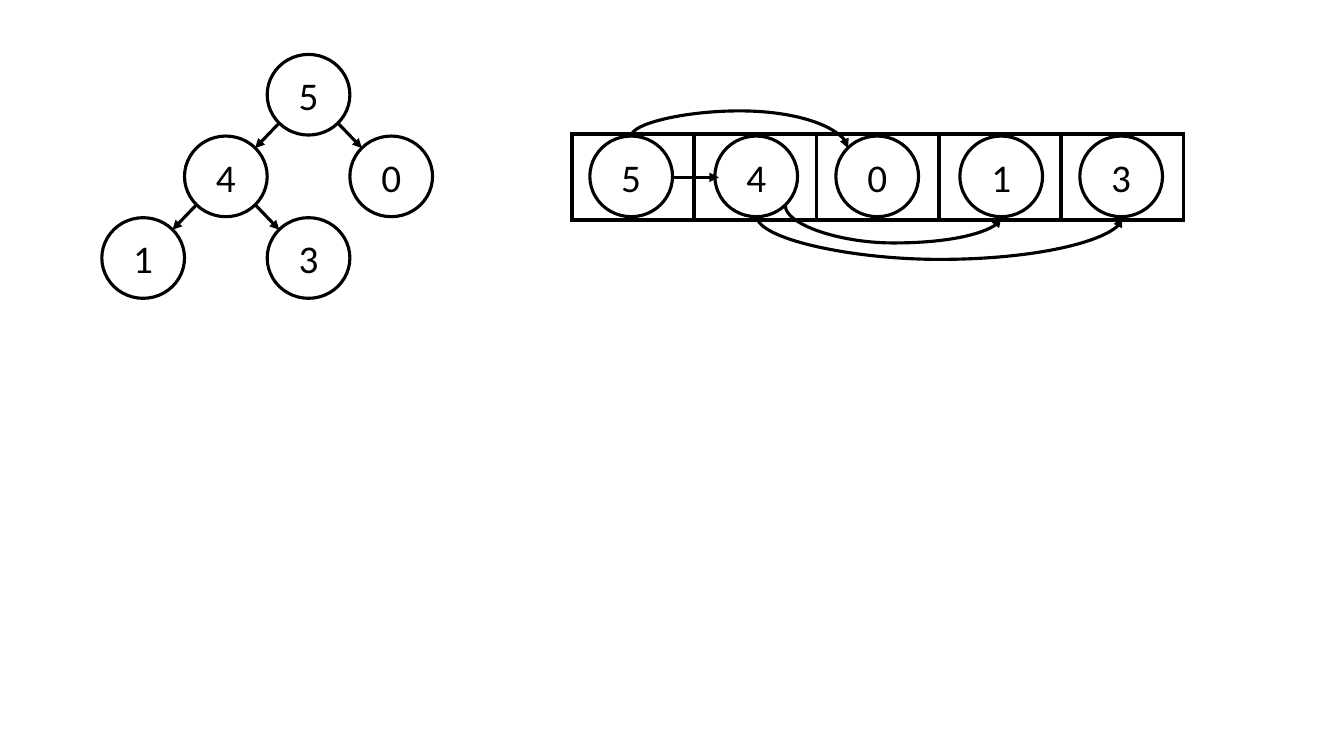
import pptx
import pptx.util
import pptx.dml.color
import pptx.enum.shapes
import pptx.enum.text
import pptx.oxml
import pptx.oxml.ns
import lxml.etree

PX = 9144
COLORS = {"ink": "000000", "paper": "FFFFFF"}
NODE_W, NODE_H = 82, 80
DIAG_X, DIAG_Y = 29, 28
CONNECTOR = pptx.enum.shapes.MSO_CONNECTOR
qn = pptx.oxml.ns.qn


def px(n):
    return pptx.util.Emu(n * PX)


def rgb(name):
    return pptx.dml.color.RGBColor.from_string(COLORS[name])


def sub(parent, tag, **attrs):
    return lxml.etree.SubElement(parent, qn(tag), attrs)


def style_line(line):
    line.color.rgb = rgb("ink")
    line.width = pptx.util.Pt(2.25)


def add_node(s, value, x, y):
    sp = s.shapes.add_shape(pptx.enum.shapes.MSO_SHAPE.OVAL,
                            px(x), px(y), px(NODE_W), px(NODE_H))
    sp.shadow.inherit = False
    sp.fill.background()
    style_line(sp.line)
    tf = sp.text_frame
    tf.vertical_anchor = pptx.enum.text.MSO_ANCHOR.MIDDLE
    p = tf.paragraphs[0]
    p.alignment = pptx.enum.text.PP_ALIGN.CENTER
    r = p.add_run()
    r.text = value
    r.font.size = pptx.util.Pt(28)
    r.font.name = "Calibri"
    r.font.color.rgb = rgb("ink")


def add_arrow(s, x1, y1, x2, y2, kind=CONNECTOR.STRAIGHT):
    c = s.shapes.add_connector(kind, px(x1), px(y1), px(x2), px(y2))
    style_line(c.line)
    sub(c.line._get_or_add_ln(), "a:tailEnd", type="triangle")
    sub(c._element.spPr, "a:effectLst")
    return c


def add_arc(s, x1, y1, x2, y2, bend):
    c = add_arrow(s, x1, y1, x2, y2, CONNECTOR.CURVE)
    dx, dy = x2 - x1, y2 - y1
    c.left, c.top = px(x1 + (dx - dy) / 2), px(y1 + (dy - dx) / 2)
    c.width, c.height = px(dy), px(dx)
    spPr = c._element.spPr
    xfrm = spPr.find(qn("a:xfrm"))
    xfrm.set("rot", "16200000")
    xfrm.set("flipH", "1")
    guides = spPr.find(qn("a:prstGeom")).find(qn("a:avLst"))
    sub(guides, "a:gd", name="adj1", fmla=f"val {round(bend / dy * 100000)}")


def draw_tree(s, x, y, step_x, step_y):
    spots = {"5": (2, 0), "0": (3, 1), "4": (1, 1), "1": (0, 2), "3": (2, 2)}
    places = {v: (x + col * step_x, y + row * step_y)
              for v, (col, row) in spots.items()}
    for value, (left, top) in places.items():
        add_node(s, value, left, top)
    for parent, child in ("54", "50", "41", "43"):
        (x1, y1), (x2, y2) = places[parent], places[child]
        side = DIAG_X if x2 > x1 else -DIAG_X
        mid_x, mid_y = NODE_W // 2, NODE_H // 2
        add_arrow(s, x1 + mid_x + side, y1 + mid_y + DIAG_Y,
                  x2 + mid_x - side, y2 + mid_y - DIAG_Y)


def draw_cells(s, x, y, w, h, count):
    table = s.shapes.add_table(1, count, px(x), px(y), px(w), px(h)).table
    table.first_row = table.horz_banding = False
    for column in table.columns:
        column.width = pptx.util.Emu(w * PX // count)
    for cell in table.iter_cells():
        tcPr = cell._tc.get_or_add_tcPr()
        for side in ("a:lnL", "a:lnR", "a:lnT", "a:lnB"):
            ln = sub(tcPr, side, w=str(pptx.util.Pt(3)))
            sub(sub(ln, "a:solidFill"), "a:srgbClr", val=COLORS["ink"])
        cell.fill.solid()
        cell.fill.fore_color.rgb = rgb("paper")


def draw_array(s, x, y, w, h):
    offsets = {"5": 18, "4": 142, "0": 262, "1": 385, "3": 504}
    draw_cells(s, x, y, w, h, len(offsets))
    top = y + 2
    bottom, middle = top + NODE_H, top + NODE_H // 2
    center = {v: x + dx + NODE_W // 2 for v, dx in offsets.items()}
    for value, dx in offsets.items():
        add_node(s, value, x + dx, top)
    add_arrow(s, center["5"] + NODE_W // 2, middle + 1,
              center["4"] - NODE_W // 2 + 4, middle + 1)
    add_arc(s, center["5"], top, center["0"] - DIAG_X, middle - DIAG_Y, -25)
    add_arc(s, center["4"] + DIAG_X, middle + DIAG_Y + 1, center["1"], bottom + 1, 37)
    add_arc(s, center["4"] + 1, bottom, center["3"] + 1, bottom + 1, 43)


def main():
    prs = pptx.Presentation()
    prs.slide_width, prs.slide_height = px(1333), px(750)
    s = prs.slides.add_slide(prs.slide_layouts[6])
    draw_tree(s, 101, 54, 82, 81)
    draw_array(s, 567, 133, 607, 85)
    prs.save("out.pptx")


if __name__ == "__main__":
    main()
